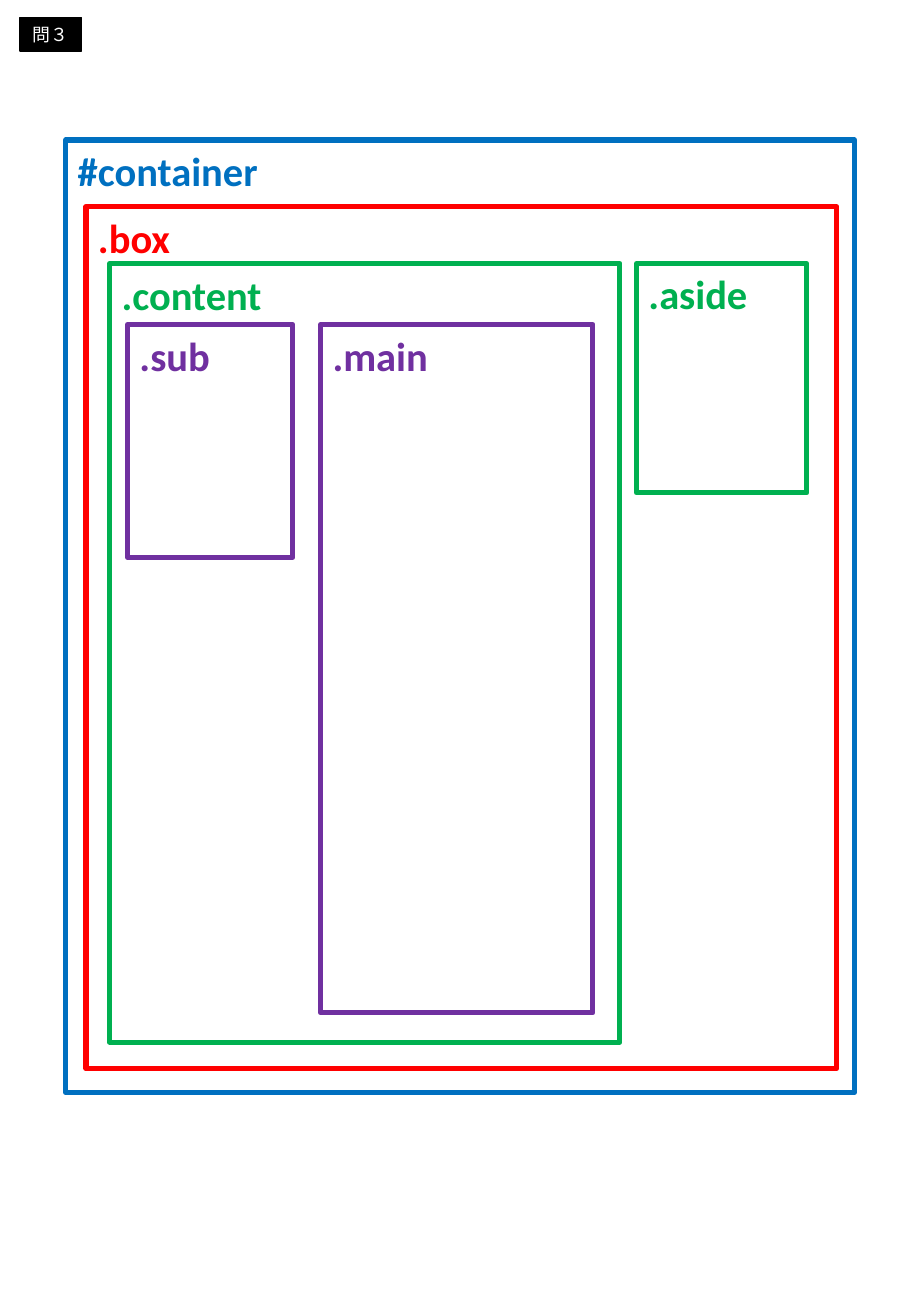
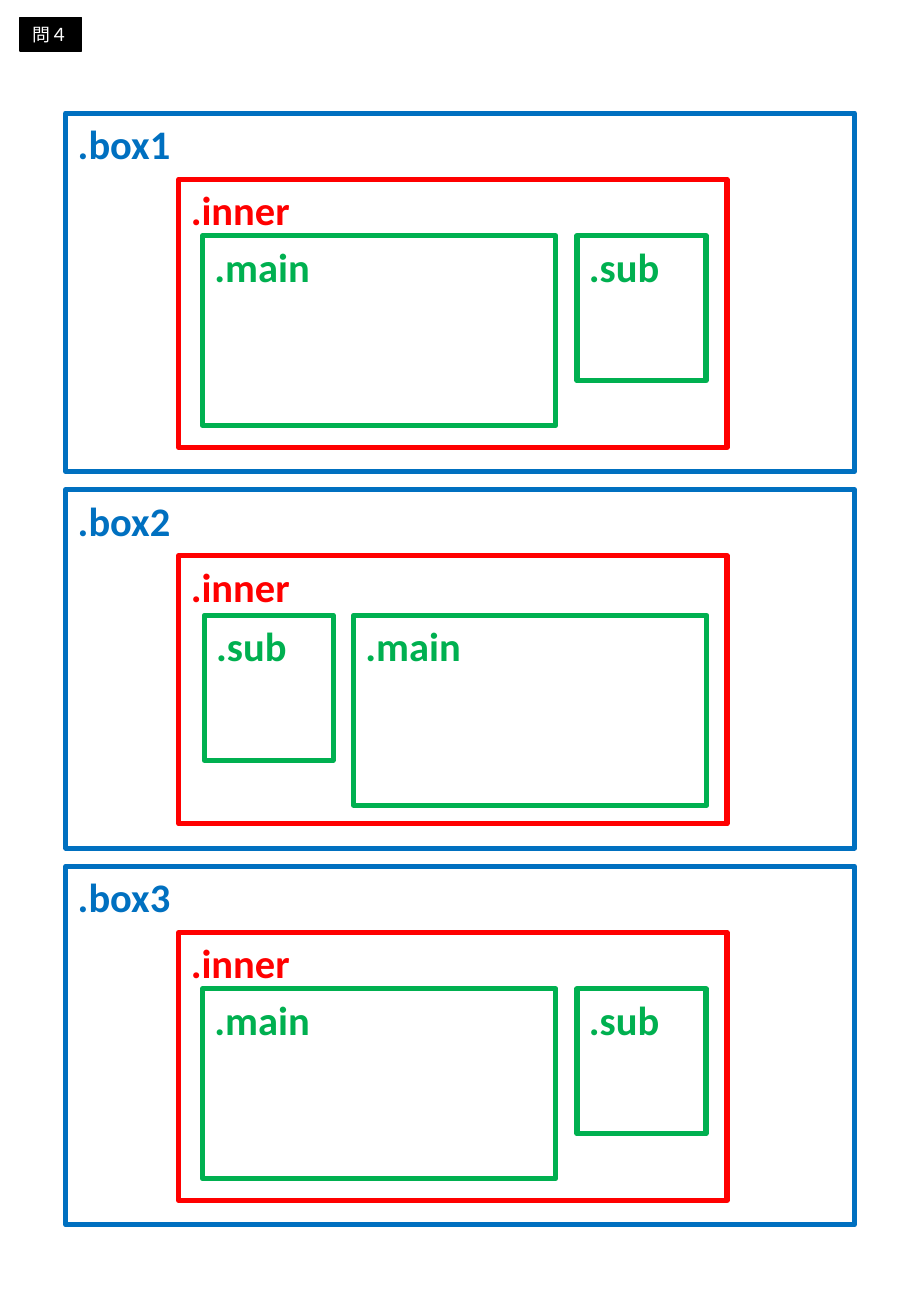
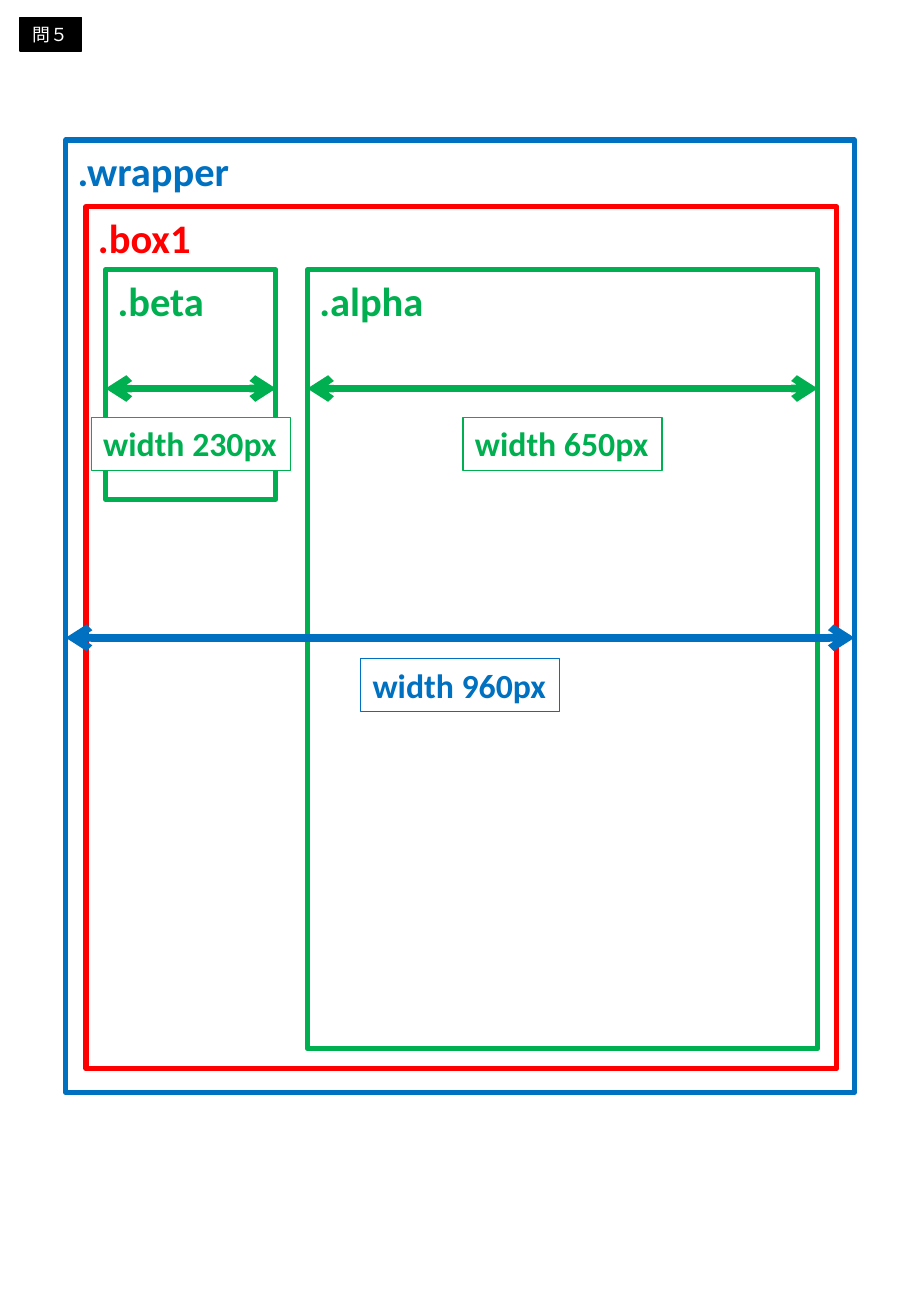
"""Build three worksheet slides that show nested page layouts as labelled frames."""

from dataclasses import dataclass

from lxml import etree
from pptx import Presentation
from pptx.dml.color import RGBColor
from pptx.enum.shapes import MSO_CONNECTOR, MSO_SHAPE
from pptx.enum.text import MSO_ANCHOR, MSO_AUTO_SIZE, PP_ALIGN
from pptx.oxml.ns import qn
from pptx.presentation import Presentation as PresentationType
from pptx.shapes.autoshape import Shape
from pptx.slide import Slide
from pptx.util import Pt

RECTANGLE = MSO_SHAPE.RECTANGLE
STRAIGHT = MSO_CONNECTOR.STRAIGHT
TOP, MIDDLE = MSO_ANCHOR.TOP, MSO_ANCHOR.MIDDLE
LEFT = PP_ALIGN.LEFT
NO_AUTOFIT = MSO_AUTO_SIZE.NONE

FONT = "Calibri"
BLACK, WHITE = "000000", "FFFFFF"
BLUE, RED, GREEN, PURPLE = "0070C0", "FF0000", "00B050", "7030A0"
TITLE_ONLY = 5
LABEL_WIDTH, LABEL_HEIGHT = 118, 31.5
ROW_PITCH = 223.2


@dataclass(frozen=True)
class Frame:
    """A labelled outline, measured in points."""

    name: str
    color: str
    left: float
    top: float
    width: float
    height: float


@dataclass(frozen=True)
class Measure:
    """A width arrow across a frame, with its label below."""

    text: str
    frame: Frame
    y: float
    gap: float


def rgb(color: str) -> RGBColor:
    """Turn a hex string into a colour."""
    return RGBColor.from_string(color)


def write_text(shape: Shape, text: str, *, size: float, color: str, bold: bool = False,
               wrap: bool = True, anchor: MSO_ANCHOR = TOP) -> None:
    """Write one formatted, left-aligned paragraph into a shape."""
    text_frame = shape.text_frame
    text_frame.auto_size = NO_AUTOFIT
    text_frame.word_wrap = wrap
    text_frame.vertical_anchor = anchor
    paragraph = text_frame.paragraphs[0]
    paragraph.alignment = LEFT
    run = paragraph.add_run()
    run.text = text
    run.font.name = FONT
    run.font.size = Pt(size)
    run.font.bold = bold
    run.font.color.rgb = rgb(color)


def style_box(shape: Shape, *, line: str, weight: float, fill: str | None = None) -> None:
    """Set the outline and the fill of a shape."""
    if fill is None:
        shape.fill.background()
    else:
        shape.fill.solid()
        shape.fill.fore_color.rgb = rgb(fill)
    shape.line.color.rgb = rgb(line)
    shape.line.width = Pt(weight)


def add_rectangle(slide: Slide, left: float, top: float, width: float, height: float) -> Shape:
    """Add a rectangle without a shadow."""
    shape = slide.shapes.add_shape(RECTANGLE, Pt(left), Pt(top), Pt(width), Pt(height))
    shape.shadow.inherit = False
    return shape


def add_question(presentation: PresentationType, title: str, frames: list[Frame]) -> Slide:
    """Add a slide with its title badge and its frames."""
    slide = presentation.slides.add_slide(presentation.slide_layouts[TITLE_ONLY])
    badge = slide.shapes.title
    badge.left, badge.top, badge.width, badge.height = Pt(12), Pt(10.3), Pt(36.3), Pt(20)
    style_box(badge, line=BLACK, weight=1, fill=BLACK)
    write_text(badge, title, size=10.6, color=WHITE, wrap=False, anchor=MIDDLE)
    for frame in frames:
        shape = add_rectangle(slide, frame.left, frame.top, frame.width, frame.height)
        style_box(shape, line=frame.color, weight=3)
        write_text(shape, frame.name, size=24, color=frame.color, bold=True)
    return slide


def add_measure(slide: Slide, measure: Measure) -> None:
    """Draw a double arrow across a frame and centre its label below."""
    frame = measure.frame
    arrow = slide.shapes.add_connector(
        STRAIGHT, Pt(frame.left), Pt(measure.y), Pt(frame.left + frame.width), Pt(measure.y))
    arrow.line.color.rgb = rgb(frame.color)
    arrow.line.width = Pt(4.5)
    properties = arrow.line._get_or_add_ln()
    for end in ("a:headEnd", "a:tailEnd"):
        etree.SubElement(properties, qn(end), type="arrow")
    etree.SubElement(properties.getparent(), qn("a:effectLst"))

    label_left = frame.left + (frame.width - LABEL_WIDTH) / 2
    label = add_rectangle(slide, label_left, measure.y + measure.gap, LABEL_WIDTH, LABEL_HEIGHT)
    style_box(label, line=frame.color, weight=0.75, fill=WHITE)
    write_text(label, measure.text, size=20, color=frame.color, bold=True, wrap=False)


def page_frames(outer: str, inner: str) -> list[Frame]:
    """Return the two nested frames that fill a page."""
    return [Frame(outer, BLUE, 39, 83, 467.5, 564.5),
            Frame(inner, RED, 51, 122.5, 445, 511)]


def row_frames(row: int) -> list[Frame]:
    """Return one box with two columns, swapped in the middle row."""
    top = 67 + row * ROW_PITCH
    swapped = row == 1
    sub_left, main_left = (121, 209.5) if swapped else (342, 120)
    column_top = top + (74.5 if swapped else 72.7)
    return [Frame(f".box{row + 1}", BLUE, 39, top, 467.5, 212.5),
            Frame(".inner", RED, 106, top + 39.2, 325, 159),
            Frame(".sub", GREEN, sub_left, column_top, 76.5, 86),
            Frame(".main", GREEN, main_left, column_top, 209.5, 112.5)]


def main() -> None:
    """Build and save the presentation."""
    presentation = Presentation()
    presentation.slide_width, presentation.slide_height = Pt(540), Pt(780)

    add_question(presentation, "問３", page_frames("#container", ".box") + [
        Frame(".aside", GREEN, 377.3, 156.2, 101, 136),
        Frame(".content", GREEN, 65, 156.2, 302.5, 461.5),
        Frame(".sub", PURPLE, 75.6, 192.4, 98, 138),
        Frame(".main", PURPLE, 190, 192.4, 161.5, 408),
    ])

    add_question(presentation, "問４", [frame for row in range(3) for frame in row_frames(row)])

    wrapper, box = page_frames(".wrapper", ".box1")
    beta = Frame(".beta", GREEN, 62.6, 160, 101, 136)
    alpha = Frame(".alpha", GREEN, 182.2, 160, 302.5, 461.5)
    slide = add_question(presentation, "問５", [wrapper, box, beta, alpha])
    for measure in (Measure("width 650px", alpha, 230.3, 17),
                    Measure("width 230px", beta, 230.3, 17),
                    Measure("width 960px", wrapper, 378, 12.3)):
        add_measure(slide, measure)

    presentation.save("out.pptx")


if __name__ == "__main__":
    main()
